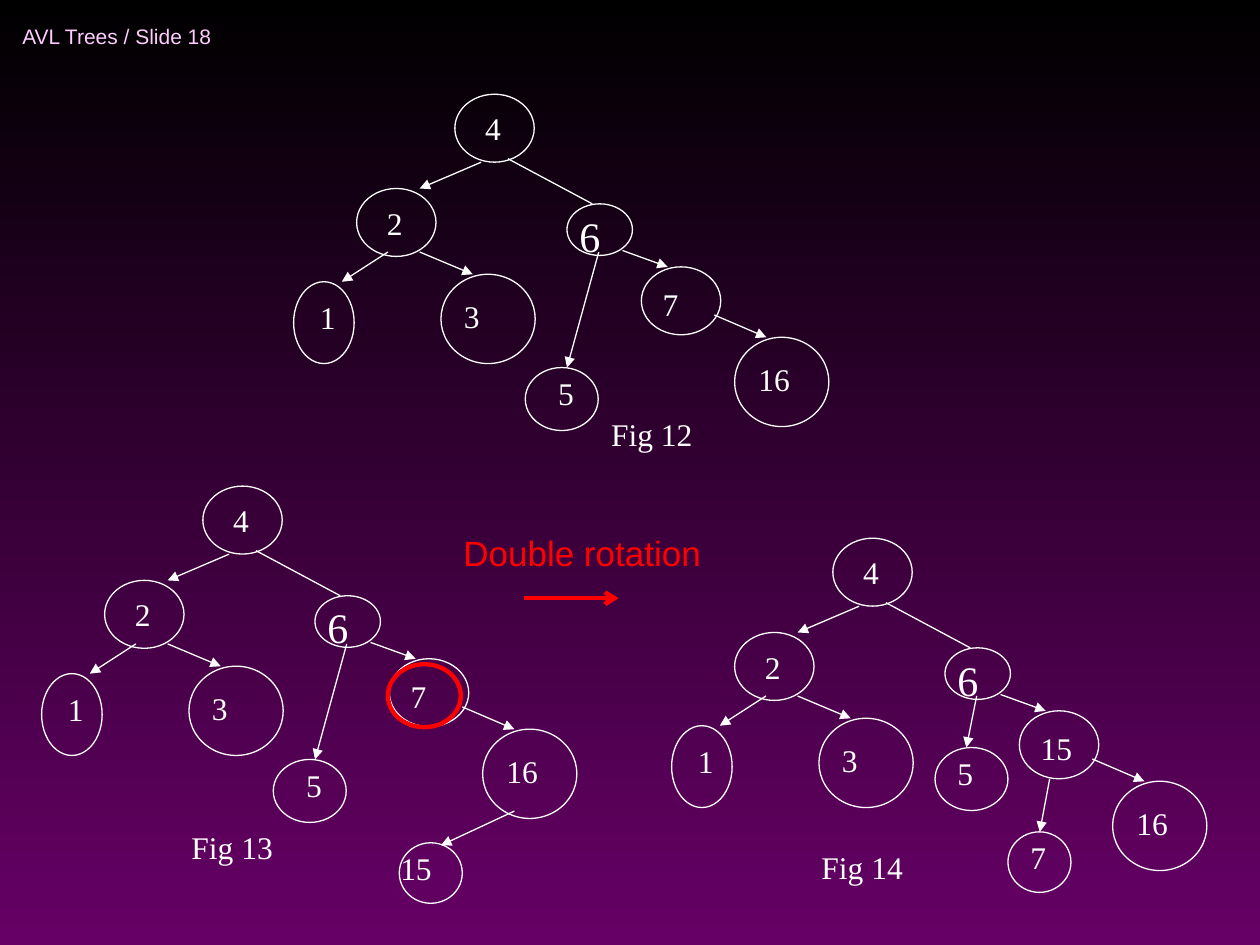
from lxml import etree
from pptx import Presentation
from pptx import util as u
from pptx.dml import color
from pptx.enum import shapes, text
from pptx.oxml import ns

WHITE, RED, PINK = "FFFFFF", "FF0000", "FFCCFF"
SERIF, SANS = "Times New Roman", "Arial"

# Centimetres from the tree's corner: left, top, width, height of the node,
# then the offset and width of its label.
SHARED_NODES = {
    "4": (3.25, 0, 1.6, 1.37, 0.36, 0.18, 2.84),
    "2": (1.27, 1.9, 1.6, 1.37, 0.36, 0.18, 1.78),
    "1": (0, 3.78, 1.22, 1.65, 0.28, 0.21, 1.37),
    "3": (2.97, 3.63, 1.9, 1.8, 0.21, 0.33, 2.54),
    "6": (5.51, 2.21, 1.32, 1.04, 0, 0, 1.32),
    "16": (8.89, 4.9, 1.9, 1.8, 0.23, 0.33, 2.54),
}
RIGHT_CHILD = (7.01, 3.48, 1.6, 1.37, 0.18, 0.25, 2.13)
LOW_FIVE = (4.67, 5.51, 1.47, 1.27, 0.41, 0, 2.11)
HIGH_FIVE = (5.31, 4.22, 1.47, 1.27, 0.2, 0, 2.11)

# Start x, y and end x, y
SHARED_ARROWS = [
    (3.78, 1.37, 2.54, 1.9),
    (1.9, 3.18, 0.97, 3.78),
    (2.54, 3.18, 3.61, 3.63),
    (6.63, 3.15, 7.54, 3.48),
    (8.48, 4.45, 9.53, 4.9),
]
ROOT_TO_SIX = (4.32, 1.3, 6.02, 2.21)
TO_LOW_FIVE = (6.15, 3.18, 5.51, 5.51)
TO_HIGH_FIVE = (6.15, 3.18, 5.94, 4.22)

# Caption, corner of the tree, caption offset, own nodes, own arrows
TREES = [
    ("Fig 12", (5.92, 1.9), (6.15, 6.35),
     {"7": RIGHT_CHILD, "5": LOW_FIVE},
     [TO_LOW_FIVE]),
    ("Fig 13", (0.84, 9.8), (2.77, 6.76),
     {"7": RIGHT_CHILD, "5": LOW_FIVE,
      "15": (7.21, 7.19, 1.27, 1.22, -0.23, 0, 2.11)},
     [TO_LOW_FIVE, (9.53, 6.55, 8.05, 7.24)]),
    ("Fig 14", (13.54, 10.85), (2.77, 6.12),
     {"15": RIGHT_CHILD, "5": HIGH_FIVE,
      "7": (6.78, 5.92, 1.27, 1.22, 0.2, 0, 2.11)},
     [TO_HIGH_FIVE, (7.62, 4.85, 7.42, 5.92)]),
]


def rgb(value):
    return color.RGBColor.from_string(value)


class TreeSlide:
    def __init__(self, page):
        self.page = page
        self.canvas = page.shapes

    def background(self, top, bottom):
        fill = self.page.background.fill
        fill.gradient()
        fill.gradient_angle = 270
        for stop, value in zip(fill.gradient_stops, (top, bottom)):
            stop.color.rgb = rgb(value)

    def label(self, words, left, top, width, height=1.02, size=18, font=SERIF,
              ink=WHITE, before=11.2, wrap=True, anchor=text.MSO_ANCHOR.TOP):
        box = self.canvas.add_textbox(
            u.Cm(left), u.Cm(top), u.Cm(width), u.Cm(height))
        frame = box.text_frame
        frame.word_wrap = wrap
        frame.vertical_anchor = anchor
        para = frame.paragraphs[0]
        para.space_before = u.Pt(before)
        span = para.add_run()
        span.text = words
        span.font.name = font
        span.font.size = u.Pt(size)
        span.font.color.rgb = rgb(ink)

    def ring(self, left, top, width, height, ink=WHITE, weight=0.75):
        oval = self.canvas.add_shape(
            shapes.MSO_SHAPE.OVAL,
            u.Cm(left), u.Cm(top), u.Cm(width), u.Cm(height))
        oval.shadow.inherit = False
        oval.fill.background()
        oval.line.color.rgb = rgb(ink)
        oval.line.width = u.Pt(weight)

    def line(self, x1, y1, x2, y2, ink=WHITE, weight=0.75, head="triangle"):
        link = self.canvas.add_connector(
            shapes.MSO_CONNECTOR.STRAIGHT,
            u.Cm(x1), u.Cm(y1), u.Cm(x2), u.Cm(y2))
        link.line.color.rgb = rgb(ink)
        link.line.width = u.Pt(weight)
        if head:
            outline = link.line._get_or_add_ln()
            etree.SubElement(outline, ns.qn("a:tailEnd"), type=head)
        etree.SubElement(link._element.spPr, ns.qn("a:effectLst"))

    def tree(self, caption, corner, caption_offset, nodes, arrows):
        """Draw one tree as a group, with its caption."""
        x, y = corner
        self.canvas = self.page.shapes.add_group_shape().shapes
        self.line(*shift(ROOT_TO_SIX, x, y), head=None)
        for arrow in SHARED_ARROWS + arrows:
            self.line(*shift(arrow, x, y))
        for key, node in {**SHARED_NODES, **nodes}.items():
            left, top, width, height, dx, dy, label_width = node
            self.ring(x + left, y + top, width, height)
            style = {"size": 24, "height": 1.27, "before": 15} if key == "6" else {}
            self.label(key, x + left + dx, y + top + dy, label_width, **style)
        self.label(caption, x + caption_offset[0], y + caption_offset[1], 3.18)
        self.canvas = self.page.shapes


def shift(ends, x, y):
    x1, y1, x2, y2 = ends
    return x + x1, y + y1, x + x2, y + y2


def main():
    deck = Presentation()
    deck.slide_width, deck.slide_height = u.Cm(25.4), u.Cm(19.05)
    slide = TreeSlide(deck.slides.add_slide(deck.slide_layouts[6]))
    slide.background("000000", "660066")
    slide.label("AVL Trees / Slide 18", 0.2, 0.2, 6.99, 1.07, size=12, font=SANS,
                ink=PINK, before=0, wrap=False, anchor=text.MSO_ANCHOR.MIDDLE)
    for tree in TREES:
        slide.tree(*tree)
    slide.line(10.57, 12.06, 12.47, 12.06, ink=RED, weight=2.5, head="arrow")
    slide.label("Double rotation", 9.09, 10.59, 5.31, 1.12, size=20, font=SANS,
                ink=RED, before=5, wrap=False)
    slide.ring(7.82, 13.39, 1.47, 1.27, ink=RED, weight=2.5)
    deck.save("out.pptx")


if __name__ == "__main__":
    main()
